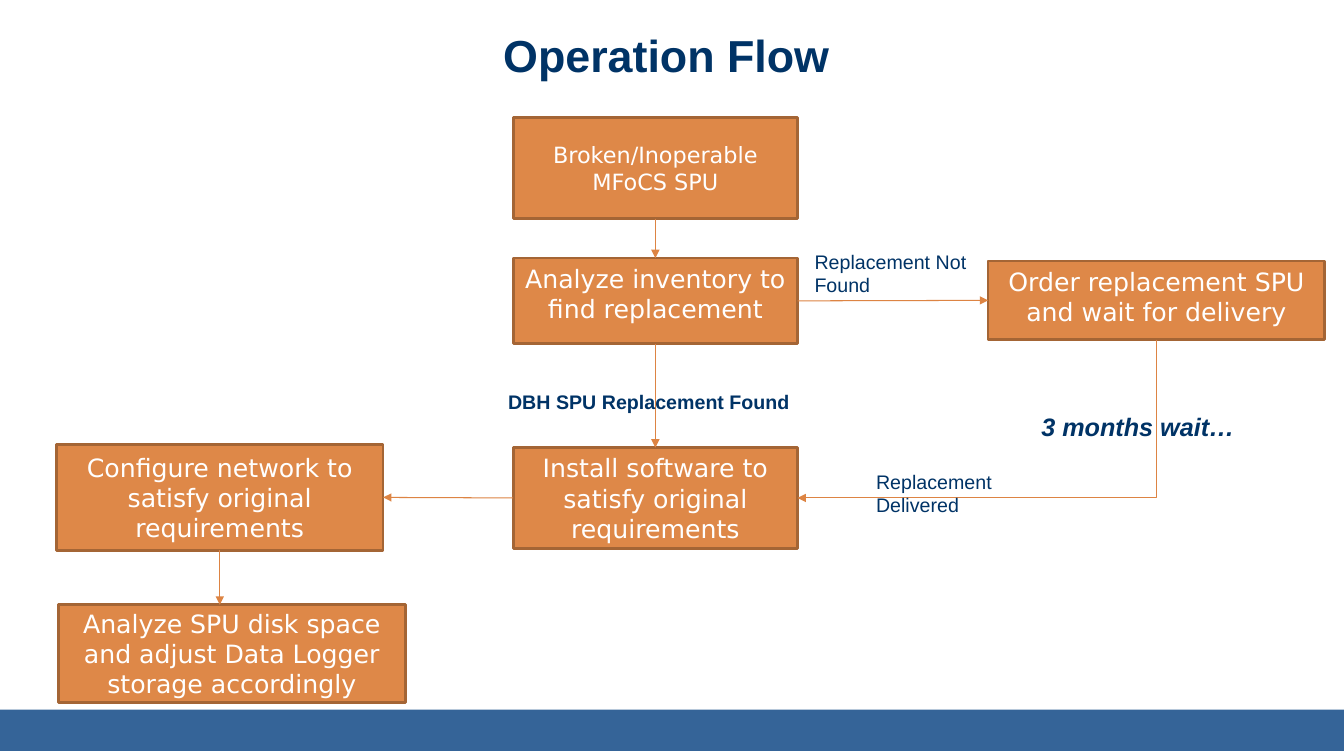
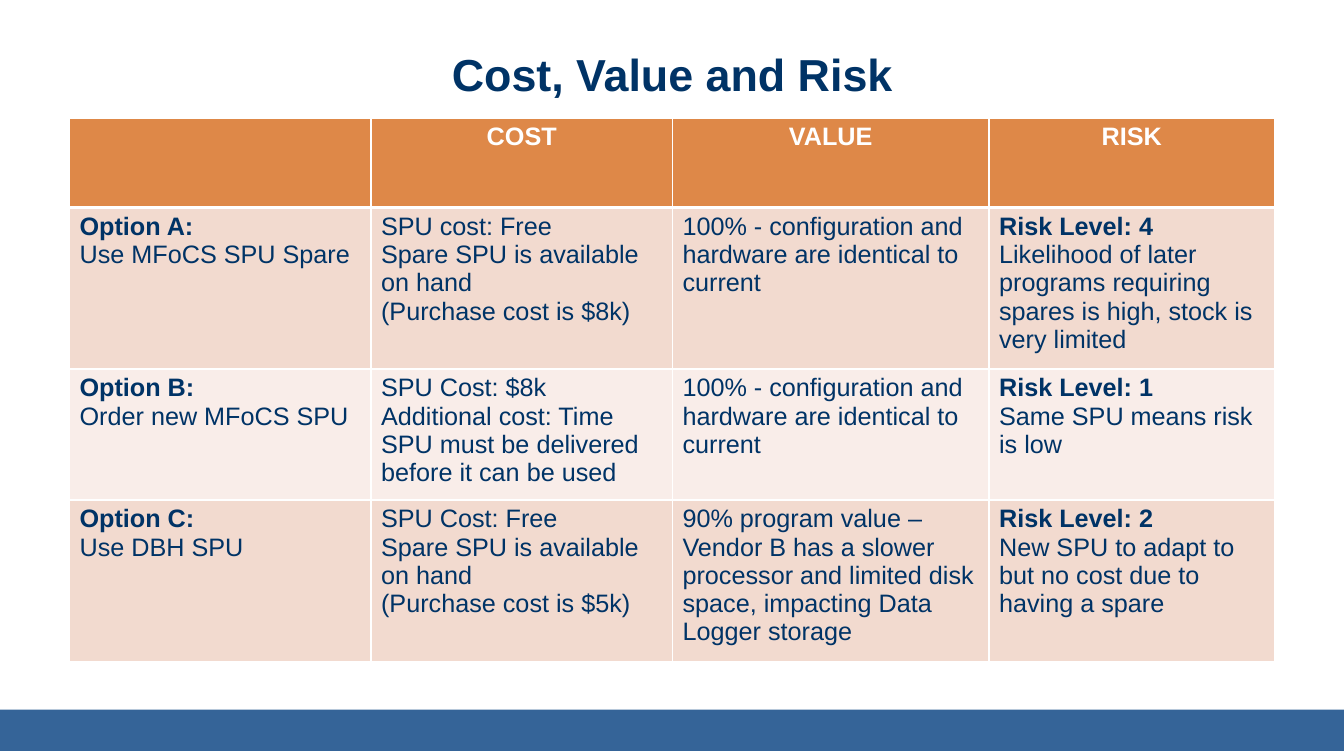
"""Build the operation flow and the cost, value and risk slides."""
from dataclasses import dataclass

import lxml.etree
import pptx
import pptx.dml.color
import pptx.enum.shapes
import pptx.enum.text
import pptx.oxml.ns
import pptx.util

Inches = pptx.util.Inches
ALIGN = pptx.enum.text.PP_ALIGN
ANCHOR = pptx.enum.text.MSO_ANCHOR
CONNECTOR = pptx.enum.shapes.MSO_CONNECTOR
RECTANGLE = pptx.enum.shapes.MSO_SHAPE.RECTANGLE
TOP, LEFT, BOTTOM, RIGHT = range(4)


@dataclass(frozen=True)
class Theme:
    """Colours, fonts and type sizes of the deck."""
    navy: str = "003366"
    white: str = "FFFFFF"
    band: str = "356498"
    orange: str = "DE8848"
    outline: str = "A46535"
    arrow: str = "DD8443"
    tints: tuple = ("F2DACF", "F9EDE9")
    font: str = "Arial"
    step_font: str = "DejaVu Sans"
    title_size: int = 32
    body_size: int = 18
    small_step_size: int = 16
    label_size: int = 14


THEME = Theme()

STEPS = {
    "broken": ((5.09, 1.17, 2.82, 1), "Broken/Inoperable MFoCS SPU",
               THEME.small_step_size, ANCHOR.MIDDLE),
    "inventory": ((5.09, 2.56, 2.82, 0.85), "Analyze inventory to find replacement",
                  THEME.body_size, ANCHOR.TOP),
    "order": ((9.8, 2.59, 3.34, 0.78), "Order replacement SPU and wait for delivery",
              THEME.body_size, ANCHOR.TOP),
    "install": ((5.09, 4.44, 2.82, 1), "Install software to satisfy original requirements",
                THEME.body_size, ANCHOR.MIDDLE),
    "network": ((0.56, 4.41, 3.24, 1.05), "Configure network to satisfy original requirements",
                THEME.body_size, ANCHOR.MIDDLE),
    "disk": ((0.58, 6, 3.44, 0.97),
             "Analyze SPU disk space and adjust Data Logger storage accordingly",
             THEME.body_size, ANCHOR.MIDDLE),
}

ARROWS = [
    ("broken", BOTTOM, "inventory", TOP),
    ("inventory", BOTTOM, "install", TOP),
    ("inventory", RIGHT, "order", LEFT),
    ("install", LEFT, "network", RIGHT),
]

LABELS = [
    ((4.94, 3.82, 3.12, 0.34), "DBH SPU Replacement Found", THEME.label_size, True, False),
    ((7.98, 2.43, 2.22, 0.34), "Replacement Not Found", THEME.label_size, False, False),
    ((8.59, 4.61, 2.15, 0.34), "Replacement Delivered", THEME.label_size, False, False),
    ((10.23, 4.03, 2.14, 0.4), "3 months wait…", THEME.body_size, True, True),
]

COLUMN_WIDTHS = [2.99, 2.99, 3.14, 2.83]
ROW_HEIGHTS = [0.89, 1.53, 1.24, 1.49]
BOLD_COLUMNS = (0, 3)
SAME_VALUE = "100% - configuration and hardware are identical to current"
OPTIONS = [
    ["", "COST", "VALUE", "RISK"],
    ["Option A:\nUse MFoCS SPU Spare",
     "SPU cost: Free\nSpare SPU is available on hand\n(Purchase cost is $8k)",
     SAME_VALUE,
     "Risk Level: 4\nLikelihood of later programs requiring spares is high, "
     "stock is very limited"],
    ["Option B:\nOrder new MFoCS SPU",
     "SPU Cost: $8k\nAdditional cost: Time SPU must be delivered before it can be used",
     SAME_VALUE,
     "Risk Level: 1\nSame SPU means risk is low"],
    ["Option C:\nUse DBH SPU",
     "SPU Cost: Free\nSpare SPU is available on hand\n(Purchase cost is $5k)",
     "90% program value – Vendor B has a slower processor and limited disk space, "
     "impacting Data Logger storage",
     "Risk Level: 2\nNew SPU to adapt to but no cost due to having a spare"],
]


def colour(value):
    """Turn a hex string into a colour."""
    return pptx.dml.color.RGBColor.from_string(value)


def inches(box):
    """Turn a box given as numbers into lengths."""
    return [Inches(length) for length in box]


def style(paragraph, size, ink=THEME.navy, font=THEME.font, bold=False, italic=False,
          align=ALIGN.LEFT):
    """Set the font and alignment of a paragraph."""
    paragraph.alignment = align
    paragraph.font.name = font
    paragraph.font.size = pptx.util.Pt(size)
    paragraph.font.bold = bold
    paragraph.font.italic = italic
    paragraph.font.color.rgb = colour(ink)


def add_page(deck, title, title_box):
    """Add a slide with the shared title style and bottom band."""
    page = deck.slides.add_slide(deck.slide_layouts[6])
    band = page.shapes.add_shape(RECTANGLE, *inches((0, 7.04, 13.33, 0.41)))
    band.shadow.inherit = False
    band.fill.solid()
    band.fill.fore_color.rgb = colour(THEME.band)
    band.line.fill.background()
    frame = page.shapes.add_textbox(*inches(title_box)).text_frame
    frame.word_wrap = True
    frame.vertical_anchor = ANCHOR.MIDDLE
    frame.text = title
    style(frame.paragraphs[0], THEME.title_size, bold=True, align=ALIGN.CENTER)
    return page


def add_step(page, box, text, size, anchor):
    """Add one process step."""
    step = page.shapes.add_shape(RECTANGLE, *inches(box))
    step.shadow.inherit = False
    step.fill.solid()
    step.fill.fore_color.rgb = colour(THEME.orange)
    step.line.color.rgb = colour(THEME.outline)
    step.line.width = pptx.util.Pt(2)
    frame = step.text_frame
    frame.word_wrap = True
    frame.vertical_anchor = anchor
    frame.text = text
    style(frame.paragraphs[0], size, THEME.white, THEME.step_font, align=ALIGN.CENTER)
    return step


def add_label(page, box, text, size, bold, italic):
    """Add a label next to an arrow."""
    frame = page.shapes.add_textbox(*inches(box)).text_frame
    frame.word_wrap = True
    frame.text = text
    style(frame.paragraphs[0], size, bold=bold, italic=italic)


def add_arrow(page, kind=CONNECTOR.STRAIGHT, end=(0, 0)):
    """Add an unattached arrow."""
    arrow = page.shapes.add_connector(kind, 0, 0, *inches(end))
    arrow.line.color.rgb = colour(THEME.arrow)
    arrow.line.width = pptx.util.Pt(0.75)
    qn = pptx.oxml.ns.qn
    lxml.etree.SubElement(arrow.line._get_or_add_ln(), qn("a:tailEnd"), type="triangle")
    lxml.etree.SubElement(arrow._element.spPr, qn("a:effectLst"))
    return arrow


def add_corner_arrow(page, start, finish):
    """Run an arrow down from one step and left into another."""
    arrow = add_arrow(page, CONNECTOR.ELBOW)
    arrow.begin_connect(start, BOTTOM)
    arrow.end_connect(finish, RIGHT)
    across = arrow.begin_x - arrow.end_x
    down = arrow.end_y - arrow.begin_y
    left = (arrow.begin_x + arrow.end_x - down) // 2
    top = (arrow.begin_y + arrow.end_y - across) // 2
    properties = arrow._element.spPr
    frame = properties.find(pptx.oxml.ns.qn("a:xfrm"))
    frame.attrib.pop("flipH", None)
    frame.set("rot", "5400000")
    properties.find(pptx.oxml.ns.qn("a:prstGeom")).set("prst", "bentConnector2")
    arrow.left, arrow.top, arrow.width, arrow.height = left, top, down, across


def add_flow(page):
    """Draw the steps, arrows and labels of the flow."""
    steps = {name: add_step(page, *parts) for name, parts in STEPS.items()}
    for start, start_side, finish, finish_side in ARROWS:
        arrow = add_arrow(page)
        arrow.begin_connect(steps[start], start_side)
        arrow.end_connect(steps[finish], finish_side)
    disk_arrow = add_arrow(page, end=(2.18, 6))
    disk_arrow.begin_connect(steps["network"], BOTTOM)
    add_corner_arrow(page, steps["order"], steps["install"])
    for label in LABELS:
        add_label(page, *label)


def add_borders(cell, top, bottom):
    """Give a cell white borders, with top and bottom widths in points."""
    qn = pptx.oxml.ns.qn
    properties = cell._tc.get_or_add_tcPr()
    for index, (side, width) in enumerate(zip("LRTB", (1, 1, top, bottom))):
        line = lxml.etree.Element(qn(f"a:ln{side}"), w=str(pptx.util.Pt(width)))
        fill = lxml.etree.SubElement(line, qn("a:solidFill"))
        lxml.etree.SubElement(fill, qn("a:srgbClr"), val=THEME.white)
        properties.insert(index, line)


def fill_cell(cell, text, row, column):
    """Write and colour one table cell."""
    header = row == 0
    cell.fill.solid()
    cell.fill.fore_color.rgb = colour(THEME.orange if header else THEME.tints[(row - 1) % 2])
    add_borders(cell, 3 if row == 1 else 1, 3 if header else 1)
    cell.text = text
    for index, paragraph in enumerate(cell.text_frame.paragraphs):
        style(paragraph, THEME.body_size, THEME.white if header else THEME.navy,
              bold=header or (index == 0 and column in BOLD_COLUMNS),
              align=ALIGN.CENTER if header else ALIGN.LEFT)


def add_options(page, left, top):
    """Draw the table of options from its top left corner."""
    box = (left, top, sum(COLUMN_WIDTHS), sum(ROW_HEIGHTS))
    table = page.shapes.add_table(len(ROW_HEIGHTS), len(COLUMN_WIDTHS), *inches(box)).table
    table.first_row = table.horz_banding = False
    for column, width in zip(table.columns, COLUMN_WIDTHS):
        column.width = Inches(width)
    for row, height in zip(table.rows, ROW_HEIGHTS):
        row.height = Inches(height)
    for row, texts in enumerate(OPTIONS):
        for column, text in enumerate(texts):
            fill_cell(table.cell(row, column), text, row, column)


def main():
    """Build and save the deck."""
    deck = pptx.Presentation()
    deck.slide_width, deck.slide_height = Inches(13.33), Inches(7.5)
    add_flow(add_page(deck, "Operation Flow", (0.86, 0.04, 11.5, 1.01)))
    add_options(add_page(deck, "Cost, Value and Risk", (0.67, 0.42, 12, 0.62)), 0.69, 1.17)
    deck.save("out.pptx")


if __name__ == "__main__":
    main()
